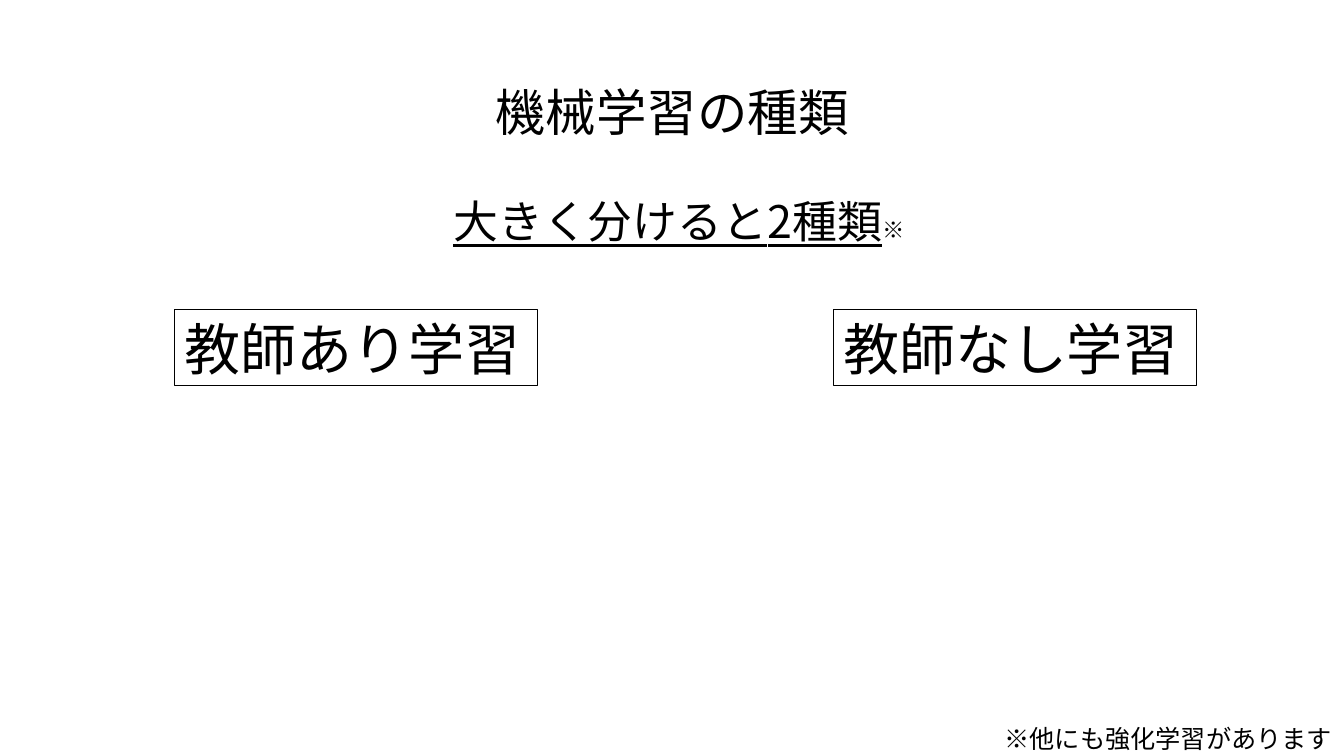
import pptx
import pptx.dml.color
import pptx.enum.shapes
import pptx.enum.text
import pptx.oxml.ns
import pptx.util
from lxml import etree

COLORS = {"ink": "000000", "paper": "FFFFFF"}
FONT = "Noto Sans CJK JP"
WIDTH, HEIGHT = 13.33, 7.5
LEFT = pptx.enum.text.PP_ALIGN.LEFT
CENTER = pptx.enum.text.PP_ALIGN.CENTER


class SlideBuilder:
    def __init__(self, presentation):
        self.slide = presentation.slides.add_slide(presentation.slide_layouts[5])
        self.slide.background.fill.solid()
        self.slide.background.fill.fore_color.rgb = self.color("paper")

    def color(self, name):
        return pptx.dml.color.RGBColor.from_string(COLORS[name])

    def area(self, left, top, width, height):
        return (
            pptx.util.Inches(left * WIDTH),
            pptx.util.Inches(top * HEIGHT),
            pptx.util.Inches(width * WIDTH),
            pptx.util.Inches(height * HEIGHT),
        )

    def add_runs(self, shape, runs, align=LEFT, wrap=False):
        frame = shape.text_frame
        frame.word_wrap = wrap
        frame.auto_size = pptx.enum.text.MSO_AUTO_SIZE.SHAPE_TO_FIT_TEXT
        frame.vertical_anchor = pptx.enum.text.MSO_ANCHOR.TOP
        paragraph = frame.paragraphs[0]
        paragraph.alignment = align
        for text, size, underline in runs:
            run = paragraph.add_run()
            run.text = text
            run.font.size = pptx.util.Pt(size)
            run.font.underline = underline
            run.font.color.rgb = self.color("ink")
            run.font.name = FONT
            properties = run._r.get_or_add_rPr()
            east_asian = etree.SubElement(properties, pptx.oxml.ns.qn("a:ea"))
            east_asian.set("typeface", FONT)

    def title(self, area, text, size):
        shape = self.slide.shapes.title
        shape.left, shape.top, shape.width, shape.height = self.area(*area)
        self.add_runs(shape, [(text, size, False)], CENTER)

    def text(self, area, runs, wrap=False):
        shape = self.slide.shapes.add_textbox(*self.area(*area))
        self.add_runs(shape, runs, wrap=wrap)

    def box(self, area, text, size):
        rectangle = pptx.enum.shapes.MSO_SHAPE.RECTANGLE
        shape = self.slide.shapes.add_shape(rectangle, *self.area(*area))
        shape.shadow.inherit = False
        shape.fill.background()
        shape.line.color.rgb = self.color("ink")
        shape.line.width = pptx.util.Pt(0.75)
        self.add_runs(shape, [(text, size, False)])


def main():
    presentation = pptx.Presentation()
    presentation.slide_width = pptx.util.Inches(WIDTH)
    presentation.slide_height = pptx.util.Inches(HEIGHT)
    builder = SlideBuilder(presentation)
    builder.title((0.36, 0.1, 0.28, 0.09), "機械学習の種類", 36)
    for left, name in ((0.13, "教師あり学習"), (0.62, "教師なし学習")):
        builder.box((left, 0.41, 0.27, 0.1), name, 40)
    builder.text((0.74, 0.95, 0.26, 0.05), [("※他にも強化学習があります", 18, False)])
    builder.text(
        (0.33, 0.25, 0.36, 0.09),
        [("大きく分けると2種類", 32, True), ("※", 16, False)],
        wrap=True,
    )
    presentation.save("out.pptx")


if __name__ == "__main__":
    main()
